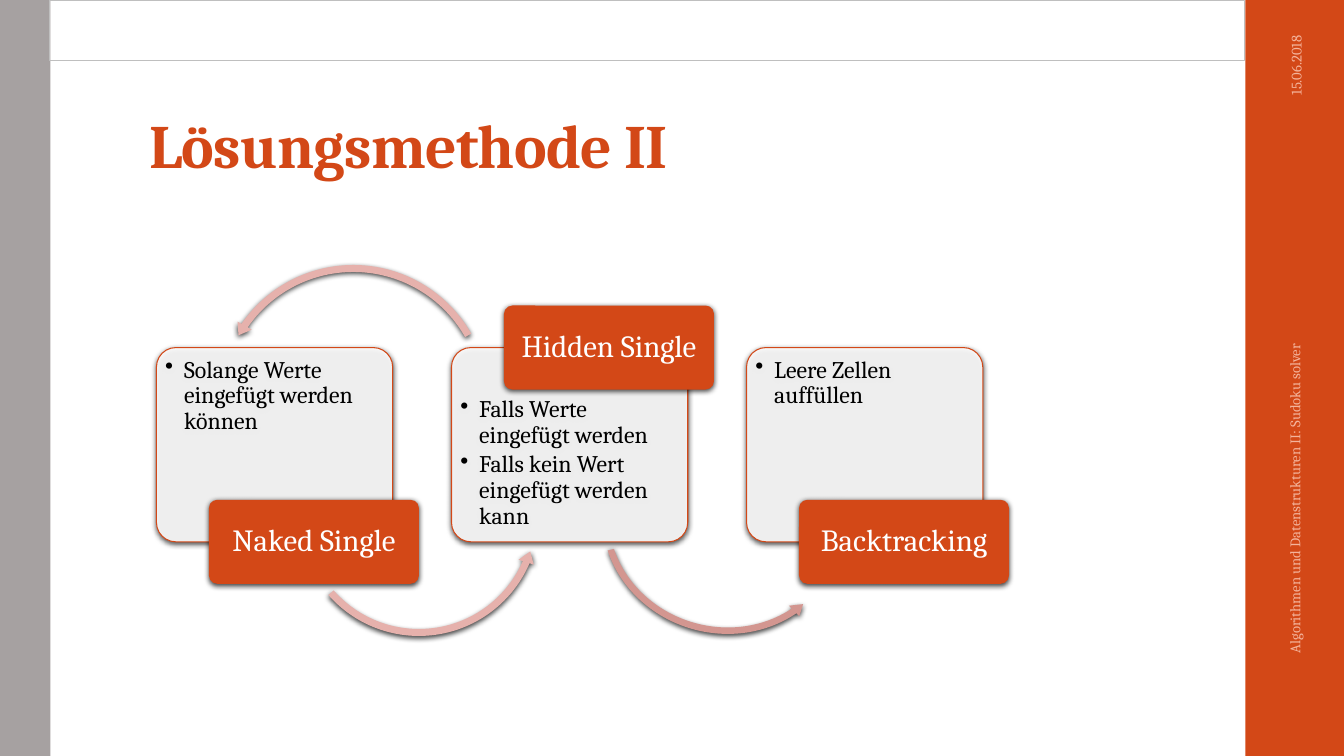
from dataclasses import dataclass
from typing import NamedTuple, Optional

from lxml import etree
from pptx import Presentation
from pptx.dml.color import RGBColor
from pptx.enum.shapes import MSO_SHAPE
from pptx.enum.text import MSO_ANCHOR, PP_ALIGN
from pptx.oxml import parse_xml
from pptx.oxml.ns import nsdecls, qn
from pptx.util import Emu, Pt

RECT, ROUNDED = MSO_SHAPE.RECTANGLE, MSO_SHAPE.ROUNDED_RECTANGLE
ARC, LEFT_ARC = MSO_SHAPE.CIRCULAR_ARROW, MSO_SHAPE.LEFT_CIRCULAR_ARROW
TOP, MIDDLE, BOTTOM = MSO_ANCHOR.TOP, MSO_ANCHOR.MIDDLE, MSO_ANCHOR.BOTTOM
LEFT, CENTER, RIGHT = PP_ALIGN.LEFT, PP_ALIGN.CENTER, PP_ALIGN.RIGHT

SLIDE_W, SLIDE_H = 1280, 720
EMU_PER_PX = 9525


@dataclass(frozen=True)
class Theme:
    font: str = "Cambria"
    accent: str = "D34817"
    side: str = "A6A1A1"
    frame: str = "BFBFBF"
    footer: str = "F4B39B"
    white: str = "FFFFFF"
    black: str = "000000"
    arrow: str = "E6B1AC"
    arrow_dark: str = "D39690"
    title_size: float = 44
    label_size: float = 22
    body_size: float = 17
    footer_size: float = 10.5


class Box(NamedTuple):
    x: int
    y: int
    w: int
    h: int


@dataclass(frozen=True)
class Arrow:
    kind: int
    box: Box
    rotation: float
    color: str
    adjustments: tuple[float, ...]
    flip: bool = False


@dataclass(frozen=True)
class Step:
    label: str
    bullets: tuple[str, ...]
    arrow: Arrow
    label_on_top: bool = False


THEME = Theme()
LEFT_ARC_ADJ = (0.028, 3.37, 21.125, 90.245, 0.032)
ARC_ADJ = (0.025, 2.987, 195.258, 125.755, 0.029)

STEPS = (
    Step("Naked Single", ("Solange Werte eingefügt werden können",),
         Arrow(LEFT_ARC, Box(280, 372, 238, 238), 348.3, THEME.arrow, LEFT_ARC_ADJ)),
    Step("Hidden Single",
         ("Falls Werte eingefügt werden", "Falls kein Wert eingefügt werden kann"),
         Arrow(ARC, Box(203, 248, 267, 267), 180, THEME.arrow, ARC_ADJ, flip=True),
         label_on_top=True),
    Step("Backtracking", ("Leere Zellen auffüllen",),
         Arrow(LEFT_ARC, Box(569, 388, 238, 219), 15.8, THEME.arrow_dark, LEFT_ARC_ADJ)),
)

PANEL = Box(149, 331, 225, 185)
PANEL_PITCH = 281
LABEL_W, LABEL_H, LABEL_SHIFT = 200, 80, 50


def px(value: int) -> Emu:
    return Emu(value * EMU_PER_PX)


def add_shape(slide, kind: int, box: Box, fill: Optional[str] = None,
              line: Optional[str] = None, line_pt: float = 0.75):
    sp = slide.shapes.add_shape(kind, *map(px, box))
    sp.shadow.inherit = False
    if fill:
        sp.fill.solid()
        sp.fill.fore_color.rgb = RGBColor.from_string(fill)
    else:
        sp.fill.background()
    if line:
        sp.line.color.rgb = RGBColor.from_string(line)
        sp.line.width = Pt(line_pt)
    else:
        sp.line.fill.background()
    return sp


def add_shadow(sp) -> None:
    effects = sp._element.spPr.find(qn("a:effectLst"))
    effects.append(parse_xml(
        f'<a:outerShdw {nsdecls("a")} blurRad="50800" dist="15240" dir="5400000"'
        f' rotWithShape="0"><a:srgbClr val="{THEME.black}"><a:alpha val="75000"/>'
        '</a:srgbClr></a:outerShdw>'))


def set_text(sp, lines: tuple[str, ...], size: float, color: str, align: int = LEFT,
             anchor: int = MIDDLE, insets: tuple[int, int, int, int] = (10, 5, 10, 5),
             bold: bool = False, spacing: float = 1.0) -> None:
    tf = sp.text_frame
    tf.word_wrap = True
    tf.vertical_anchor = anchor
    tf.margin_left, tf.margin_top, tf.margin_right, tf.margin_bottom = map(px, insets)
    tf.text = "\n".join(lines)
    for p in tf.paragraphs:
        p.alignment = align
        p.line_spacing = spacing
        for r in p.runs:
            r.font.name = THEME.font
            r.font.size = Pt(size)
            r.font.bold = bold
            r.font.color.rgb = RGBColor.from_string(color)


def add_bullets(sp) -> None:
    for p in sp.text_frame.paragraphs:
        p.space_after = Pt(2.5)
        pPr = p._p.get_or_add_pPr()
        pPr.set("marL", str(px(18)))
        pPr.set("indent", str(px(-18)))
        etree.SubElement(pPr, qn("a:buChar")).set("char", "•")


def add_text(slide, box: Box, text: str, size: float, color: str,
             rotation: float = 0, **style):
    sp = slide.shapes.add_textbox(*map(px, box))
    sp.rotation = rotation
    set_text(sp, (text,), size, color, **style)
    return sp


def add_arrow(slide, arrow: Arrow) -> None:
    sp = add_shape(slide, arrow.kind, arrow.box, arrow.color)
    for i, value in enumerate(arrow.adjustments):
        sp.adjustments[i] = value
    sp.rotation = arrow.rotation
    if arrow.flip:
        sp._element.spPr.find(qn("a:xfrm")).set("flipV", "1")
    add_shadow(sp)


def add_step(slide, index: int, step: Step) -> None:
    box = PANEL._replace(x=PANEL.x + index * PANEL_PITCH)

    # Panel with its bullets
    panel = add_shape(slide, ROUNDED, box, THEME.white, THEME.accent)
    panel.adjustments[0] = 0.1
    color = panel._element.spPr.find(qn("a:solidFill"))[0]
    etree.SubElement(color, qn("a:alpha")).set("val", "90000")
    add_shadow(panel)
    text_top = 42 if step.label_on_top else 4
    set_text(panel, step.bullets, THEME.body_size, THEME.black, anchor=TOP,
             insets=(3, text_top, 3, 0), spacing=0.9)
    add_bullets(panel)

    add_arrow(slide, step.arrow)

    # Label centred on the panel's top or bottom edge
    edge = box.y if step.label_on_top else box.y + box.h
    label = add_shape(slide, ROUNDED, Box(box.x + LABEL_SHIFT, edge - LABEL_H // 2,
                                          LABEL_W, LABEL_H), THEME.accent)
    label.adjustments[0] = 0.1
    add_shadow(label)
    set_text(label, (step.label,), THEME.label_size, THEME.white, align=CENTER,
             insets=(5, 3, 5, 3), spacing=0.9)


def main() -> None:
    prs = Presentation()
    prs.slide_width, prs.slide_height = px(SLIDE_W), px(SLIDE_H)
    slide = prs.slides.add_slide(prs.slide_layouts[6])

    # Side bars and top frame
    add_shape(slide, RECT, Box(1186, 0, 96, SLIDE_H), THEME.accent)
    add_shape(slide, RECT, Box(0, 0, 48, SLIDE_H), THEME.side)
    add_shape(slide, RECT, Box(47, 0, 1138, 57), line=THEME.frame, line_pt=0.25)

    # Title
    title = add_text(slide, Box(132, 31, 1018, 147), "Lösungsmethode II",
                     THEME.title_size, THEME.accent, anchor=BOTTOM,
                     insets=(10, 3, 10, 5), bold=True, spacing=0.9)
    title.text_frame.paragraphs[0].runs[0]._r.get_or_add_rPr().set("spc", "-50")

    # Date and footer, turned upright
    add_text(slide, Box(1134, 105, 200, 38), "15.06.2018", THEME.footer_size,
             THEME.footer, rotation=270, align=RIGHT)
    add_text(slide, Box(1045, 425, 376, 38),
             "Algorithmen und Datenstrukturen II: Sudoku solver",
             THEME.footer_size, THEME.footer, rotation=270)

    # Solving steps
    for index, step in enumerate(STEPS):
        add_step(slide, index, step)

    prs.save("out.pptx")


if __name__ == "__main__":
    main()
